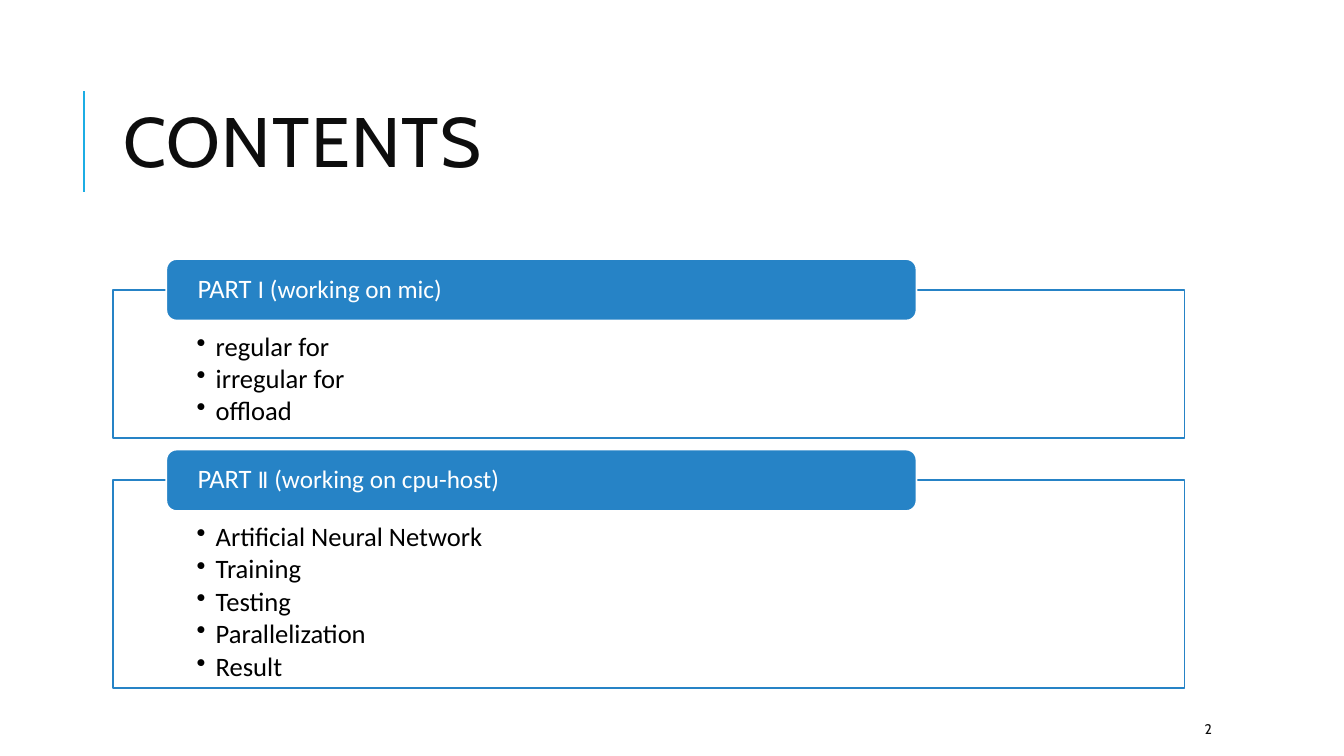
from lxml.etree import SubElement
from pptx import Presentation
from pptx.dml.color import RGBColor
from pptx.enum.shapes import MSO_CONNECTOR as CONN, MSO_SHAPE as SHAPE
from pptx.enum.text import MSO_ANCHOR as ANCHOR, PP_ALIGN as ALIGN
from pptx.oxml.ns import qn
from pptx.util import Inches, Pt

LEFT, WIDTH = 1.12, 10.63
TAB_LEFT, TAB_WIDTH, TAB_HEIGHT = 1.65, 7.44, 0.61
BLUE, WHITE, BLACK, INK = "2683C6", "FFFFFF", "000000", "0D0D0D"
PARTS = [
    (2.57, 1.47, "Ⅰ", " (working on mic)", ["regular for", "irregular for", "offload"]),
    (4.46, 2.06, "Ⅱ", " (working on cpu-host)",
     ["Artificial Neural Network", "Training", "Testing", "Parallelization", "Result"]),
]


def rgb(color):
    return RGBColor.from_string(color)


def add_run(p, text, size, color, name="Calibri"):
    r = p.add_run()
    r.text = text
    for key, value in {"size": Pt(size), "name": name}.items():
        setattr(r.font, key, value)
    r.font.color.rgb = rgb(color)
    return r


prs = Presentation()
prs.slide_width, prs.slide_height = Inches(13.33), Inches(7.5)
s = prs.slides.add_slide(prs.slide_layouts[5])

rule = s.shapes.add_connector(CONN.STRAIGHT, Inches(0.83), Inches(1.9), Inches(0.83), Inches(0.9))
rule.line.color.rgb = rgb("1CADE4")
rule.line.width = Pt(1.5)
SubElement(rule._element.spPr, qn("a:effectLst"))

title = s.shapes.title
for key, value in {"left": LEFT, "top": 0.64, "width": WIDTH, "height": 1.64}.items():
    setattr(title, key, Inches(value))
title.text_frame.vertical_anchor = ANCHOR.MIDDLE
p = title.text_frame.paragraphs[0]
p.alignment, p.line_spacing = ALIGN.LEFT, 0.8
r = add_run(p, "CONTENTS", 50, INK, "Cabin")
r.font._element.set("spc", "100")

for top, height, numeral, place, topics in PARTS:
    box = s.shapes.add_shape(SHAPE.RECTANGLE, Inches(LEFT), Inches(top + TAB_HEIGHT / 2),
                             Inches(WIDTH), Inches(height))
    tab = s.shapes.add_shape(SHAPE.ROUNDED_RECTANGLE, Inches(TAB_LEFT), Inches(top),
                             Inches(TAB_WIDTH), Inches(TAB_HEIGHT))
    for sp, fill, line, anchor, margins in (
        (box, WHITE, BLUE, ANCHOR.TOP, (0.83, 0.43, 0.83, 0.15)),
        (tab, BLUE, WHITE, ANCHOR.MIDDLE, (0.28, 0, 0.28, 0)),
    ):
        sp.shadow.inherit = False
        sp.fill.solid()
        sp.fill.fore_color.rgb = rgb(fill)
        sp.line.color.rgb = rgb(line)
        sp.line.width = Pt(1.25)
        tf = sp.text_frame
        tf.word_wrap, tf.vertical_anchor = True, anchor
        for side, margin in zip(("left", "top", "right", "bottom"), margins):
            setattr(tf, f"margin_{side}", Inches(margin))

    for i, topic in enumerate(topics):
        tf = box.text_frame
        p = tf.add_paragraph() if i else tf.paragraphs[0]
        p.level = 1
        p.alignment, p.line_spacing, p.space_after = ALIGN.LEFT, 0.9, Pt(2.6)
        pPr = p._p.get_or_add_pPr()
        pPr.set("marL", str(Inches(0.19)))
        pPr.set("indent", str(-Inches(0.19)))
        SubElement(pPr, qn("a:buChar"), char="•")
        add_run(p, topic, 19, BLACK)

    p = tab.text_frame.paragraphs[0]
    p.alignment, p.line_spacing = ALIGN.LEFT, 0.9
    for text, size in (("PART ", 19), (numeral, 16), (place, 18)):
        add_run(p, text, size, WHITE)

number = s.shapes.add_textbox(Inches(11.85), Inches(7.08), Inches(1.06), Inches(0.3))
tf = number.text_frame
tf.word_wrap, tf.vertical_anchor = True, ANCHOR.MIDDLE
add_run(tf.paragraphs[0], "2", 10, INK, "Cabin")

prs.save("out.pptx")
